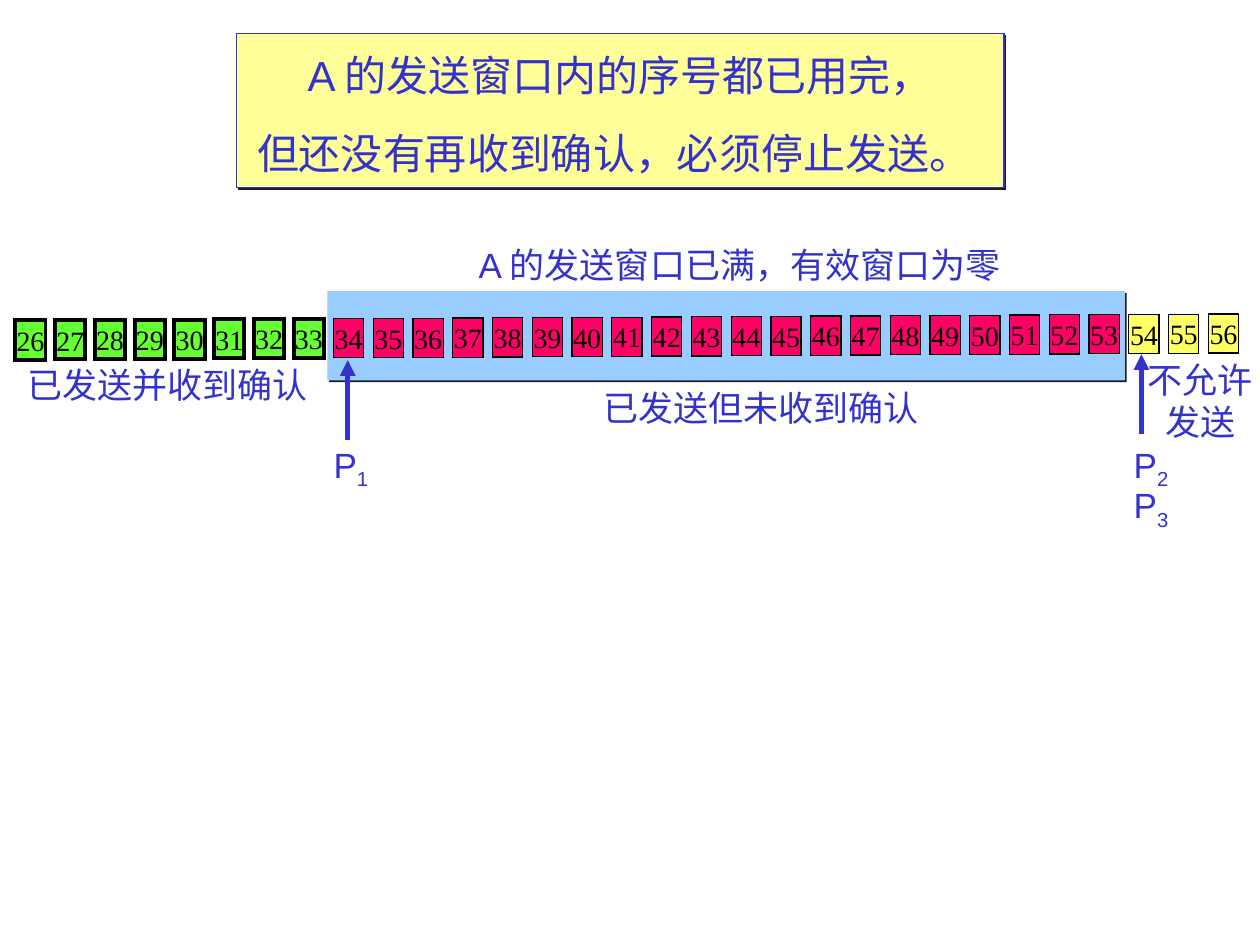
"""Draw a full send window, with its sequence numbers and pointers."""
from typing import NamedTuple

from lxml.etree import SubElement
from pptx import Presentation
from pptx.dml.color import RGBColor
from pptx.enum.shapes import MSO_CONNECTOR as Link, MSO_SHAPE as Kind
from pptx.enum.text import MSO_ANCHOR as Anchor, MSO_AUTO_SIZE as Fit, PP_ALIGN as Align
from pptx.oxml.ns import qn
from pptx.util import Cm, Pt

BLUE, BLACK, WHITE = "3333CC", "000000", "FFFFFF"


class Label(NamedTuple):
    text: str
    x: float
    y: float
    w: float
    h: float
    fill: str = ""
    align: Align = Align.CENTER
    sub: str = ""


class Group(NamedTuple):
    first: int
    last: int
    fill: str
    line: float


class Arrow(NamedTuple):
    x: float
    low: float
    top: float


BACK = [
    Label("不允许\n发送", 22.89, 7.11, 2.62, 1.96),
    Label("已发送并收到确认", 0.3, 7.21, 6.15, 1.12, WHITE),
    Label("A 的发送窗口已满，有效窗口为零", 9.4, 4.78, 11.23, 1.12, WHITE, Align.LEFT),
]
FRONT = [
    Label("已发送但未收到确认", 11.91, 7.67, 6.86, 1.12, align=Align.LEFT),
    Label("P", 6.48, 8.81, 1.19, 1.22, sub="1"),
    Label("P", 22.61, 8.81, 1.19, 1.22, sub="2"),
    Label("P", 22.61, 9.63, 1.19, 1.22, sub="3"),
]
GROUPS = [
    Group(26, 33, "66FF33", 2.25),
    Group(34, 53, "FF0066", 0.75),
    Group(54, 56, "FFFF66", 0.75),
]
ARROWS = [Arrow(7.01, 8.86, 7.26), Arrow(23.01, 8.74, 7.14)]


def tint(code: str) -> RGBColor:
    return RGBColor.from_string(code)


def add_box(slide, x: float, y: float, w: float, h: float, fill: str,
            edge: str = "", width: float = 0.75):
    box = slide.shapes.add_shape(Kind.RECTANGLE, Cm(x), Cm(y), Cm(w), Cm(h))
    box.shadow.inherit = False
    box.fill.solid()
    box.fill.fore_color.rgb = tint(fill)
    if edge:
        box.line.color.rgb = tint(edge)
        box.line.width = Pt(width)
        SubElement(box.line._get_or_add_ln(), qn("a:miter"), lim="800000")
    else:
        box.line.fill.background()
    return box


def add_shade(box) -> None:
    effects = box._element.spPr.find(qn("a:effectLst"))
    shade = SubElement(effects, qn("a:outerShdw"), dist=str(Pt(1.4)),
                       dir="2700000", algn="ctr", rotWithShape="0")
    SubElement(shade, qn("a:srgbClr"), val="1C1C1C")


def set_text(box, text: str, size: float, font: str = "Arial", ink: str = BLUE,
             align: Align = Align.CENTER, anchor: Anchor = Anchor.TOP,
             fit: Fit = Fit.NONE, sub: str = "") -> None:
    frame = box.text_frame
    frame.text = text
    frame.word_wrap = False
    frame.auto_size = fit
    frame.vertical_anchor = anchor
    frame.margin_right = 0
    if align == Align.CENTER:
        frame.margin_left = 0
    if sub:
        run = frame.paragraphs[0].add_run()
        run.text = sub
        run._r.get_or_add_rPr().set("baseline", "-25000")
    for para in frame.paragraphs:
        para.alignment = align
        for run in para.runs:
            run.font.size = Pt(size)
            run.font.name = font
            run.font.color.rgb = tint(ink)


def add_label(slide, label: Label) -> None:
    area = label.x, label.y, label.w, label.h
    if label.fill:
        box = add_box(slide, *area, label.fill)
    else:
        box = slide.shapes.add_textbox(*map(Cm, area))
    set_text(box, label.text, 20, align=label.align, sub=label.sub)


def add_cells(slide, group: Group) -> None:
    for number in range(group.first, group.last + 1):
        part = (number - 26) / 30
        box = add_box(slide, 0.31 + 24.05 * part, 6.46 - 0.13 * part,
                      0.61, 0.79, group.fill, BLACK, group.line)
        set_text(box, str(number), 16, "Times New Roman", BLACK,
                 anchor=Anchor.MIDDLE)


def add_arrow(slide, arrow: Arrow) -> None:
    line = slide.shapes.add_connector(Link.STRAIGHT, Cm(arrow.x), Cm(arrow.low),
                                      Cm(arrow.x), Cm(arrow.top))
    line.line.color.rgb = tint(BLUE)
    line.line.width = Pt(3)
    SubElement(line.line._get_or_add_ln(), qn("a:tailEnd"), type="triangle")
    SubElement(line._element.spPr, qn("a:effectLst"))


def add_title(slide) -> None:
    box = add_box(slide, 4.77, 0.68, 15.47, 3.1, "FFFF99", BLUE)
    add_shade(box)
    set_text(box, "A 的发送窗口内的序号都已用完，\n但还没有再收到确认，必须停止发送。", 24,
             fit=Fit.SHAPE_TO_FIT_TEXT)
    for para in box.text_frame.paragraphs:
        para.line_spacing = 1.2
    space = para.add_run()
    space.text = " "
    space.font.size = Pt(32)
    space.font.name = "Arial"


def main() -> None:
    deck = Presentation()
    deck.slide_width, deck.slide_height = Cm(25.4), Cm(19.05)
    slide = deck.slides.add_slide(deck.slide_layouts[6])
    for label in BACK:
        add_label(slide, label)
    add_shade(add_box(slide, 6.6, 5.87, 16.08, 1.8, "99CCFF"))
    for group in GROUPS:
        add_cells(slide, group)
    for label in FRONT:
        add_label(slide, label)
    for arrow in ARROWS:
        add_arrow(slide, arrow)
    add_title(slide)
    deck.save("out.pptx")


if __name__ == "__main__":
    main()
